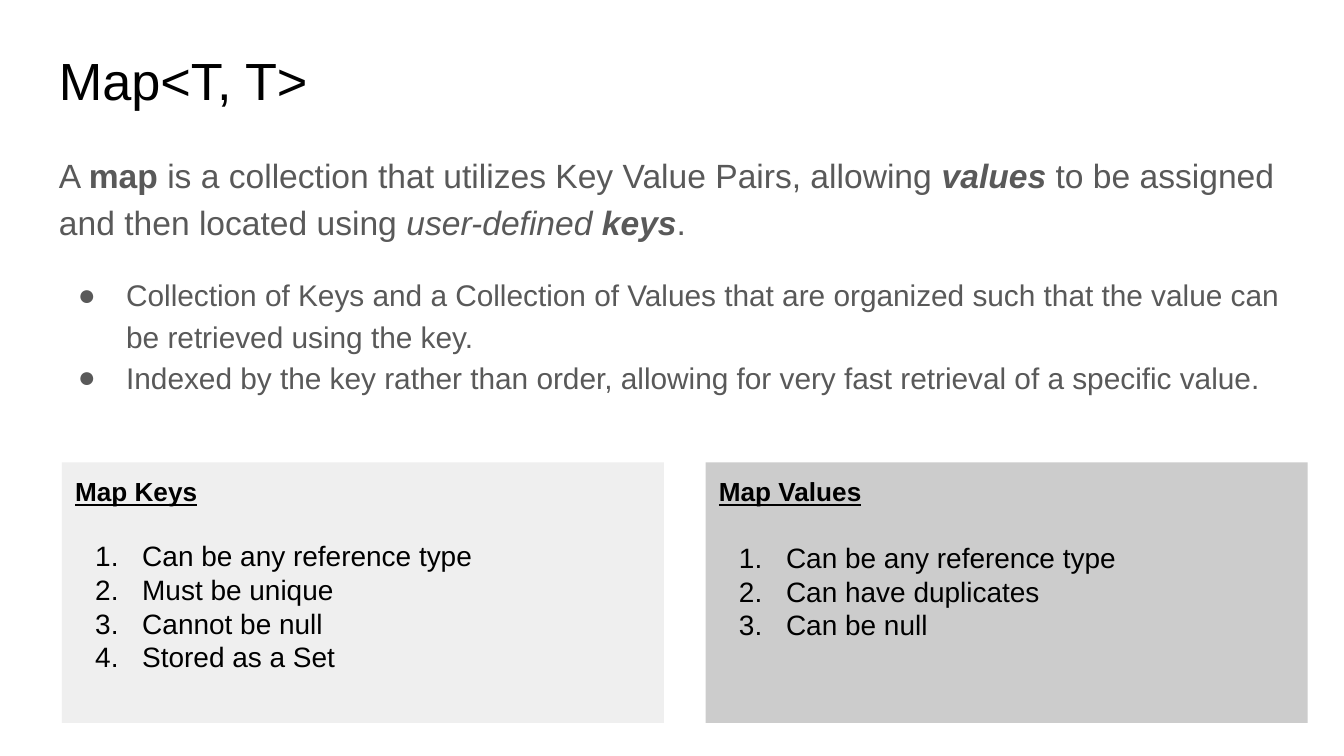
from dataclasses import dataclass
from pptx import Presentation
from pptx.dml.color import RGBColor
from pptx.enum.shapes import MSO_SHAPE
from pptx.enum.text import MSO_ANCHOR, PP_ALIGN
from pptx.oxml.ns import qn
from pptx.util import Inches, Pt
from lxml.etree import SubElement


@dataclass(frozen=True)
class Theme:
    font: str = "Arial"
    ink: str = "000000"
    gray: str = "595959"
    light: str = "EFEFEF"
    dark: str = "CCCCCC"
    title: int = 28
    lead: int = 18
    point: int = 16
    head: int = 14
    item: int = 15


theme = Theme()


def set_list(para, mark, indent, color):
    props = para._p.get_or_add_pPr()
    props.set("marL", str(Inches(0.5)))
    props.set("indent", str(-Inches(indent)))
    tint = SubElement(props, qn("a:buClr"))
    SubElement(tint, qn("a:srgbClr"), val=color)
    SubElement(props, qn("a:buFont"), typeface=theme.font)
    if mark == "1.":
        SubElement(props, qn("a:buAutoNum"), type="arabicPeriod")
    else:
        SubElement(props, qn("a:buChar"), char=mark)


def add_text(frame, text, size, color=theme.ink, style="", line=1.0,
             before=0, mark=None, indent=0.36):
    para = frame.paragraphs[0]
    if para.runs:
        para = frame.add_paragraph()
    para.alignment = PP_ALIGN.LEFT
    para.line_spacing = line
    para.space_before = Pt(before)
    if mark:
        set_list(para, mark, indent, color)
    parts = [(text, style)] if isinstance(text, str) else text
    for words, look in parts:
        run = para.add_run()
        run.text = words
        font = run.font
        font.name, font.size = theme.font, Pt(size)
        font.color.rgb = RGBColor.from_string(color)
        font.bold = "b" in look
        font.italic = "i" in look
        font.underline = "u" in look


def add_frame(slide, box, fill=None):
    place = [Inches(n) for n in box]
    if fill:
        shape = slide.shapes.add_shape(MSO_SHAPE.RECTANGLE, *place)
        shape.shadow.inherit = False
        shape.fill.solid()
        shape.fill.fore_color.rgb = RGBColor.from_string(fill)
        shape.line.fill.background()
    else:
        shape = slide.shapes.add_textbox(*place)
    frame = shape.text_frame
    frame.word_wrap = True
    frame.vertical_anchor = MSO_ANCHOR.TOP
    frame.margin_left = frame.margin_right = Inches(0.1)
    frame.margin_top = frame.margin_bottom = Inches(0.1)
    return frame


def add_title(slide, box, text):
    add_text(add_frame(slide, box), text, theme.title)


def add_body(slide, box, lead, points):
    frame = add_frame(slide, box)
    add_text(frame, lead, theme.lead, color=theme.gray, line=1.15)
    for i, point in enumerate(points):
        add_text(frame, point, theme.point, color=theme.gray, line=1.15,
                 before=0 if i else 16, mark="●")


def add_card(slide, box, fill, head, items, gap):
    frame = add_frame(slide, box, fill)
    add_text(frame, head, theme.head, style="bu")
    for i, item in enumerate(items):
        add_text(frame, item, theme.item, before=0 if i else gap,
                 mark="1.", indent=0.35)


def add_cards(slide, box, cards, gap):
    left, top, width, height = box
    wide = (width - gap * (len(cards) - 1)) / len(cards)
    for i, card in enumerate(cards):
        add_card(slide, (left + i * (wide + gap), top, wide, height), *card)


def build():
    deck = Presentation()
    deck.slide_width = Inches(10)
    deck.slide_height = Inches(10 * 9 / 16)
    slide = deck.slides.add_slide(deck.slide_layouts[6])
    add_title(slide, (0.34, 0.26, 9.32, 0.63), "Map<T, T>")
    lead = [
        ("A ", ""), ("map ", "b"),
        ("is a collection that utilizes Key Value Pairs, allowing ", ""),
        ("values ", "bi"),
        ("to be assigned and then located using ", ""),
        ("user-defined ", "i"), ("keys", "bi"), (".", ""),
    ]
    points = [
        "Collection of Keys and a Collection of Values that are organized "
        "such that the value can be retrieved using the key.",
        "Indexed by the key rather than order, allowing for very fast "
        "retrieval of a specific value.",
    ]
    add_body(slide, (0.34, 1.01, 9.32, 2.1), lead, points)
    first = "Can be any reference type"
    keys = [first, "Must be unique", "Cannot be null", "Stored as a Set"]
    values = [first, "Can have duplicates", "Can be null"]
    cards = [
        (theme.light, "Map Keys", keys, 17),
        (theme.dark, "Map Values", values, 18),
    ]
    add_cards(slide, (0.46, 3.44, 9.27, 1.94), cards, 0.31)
    deck.save("out.pptx")


build()
